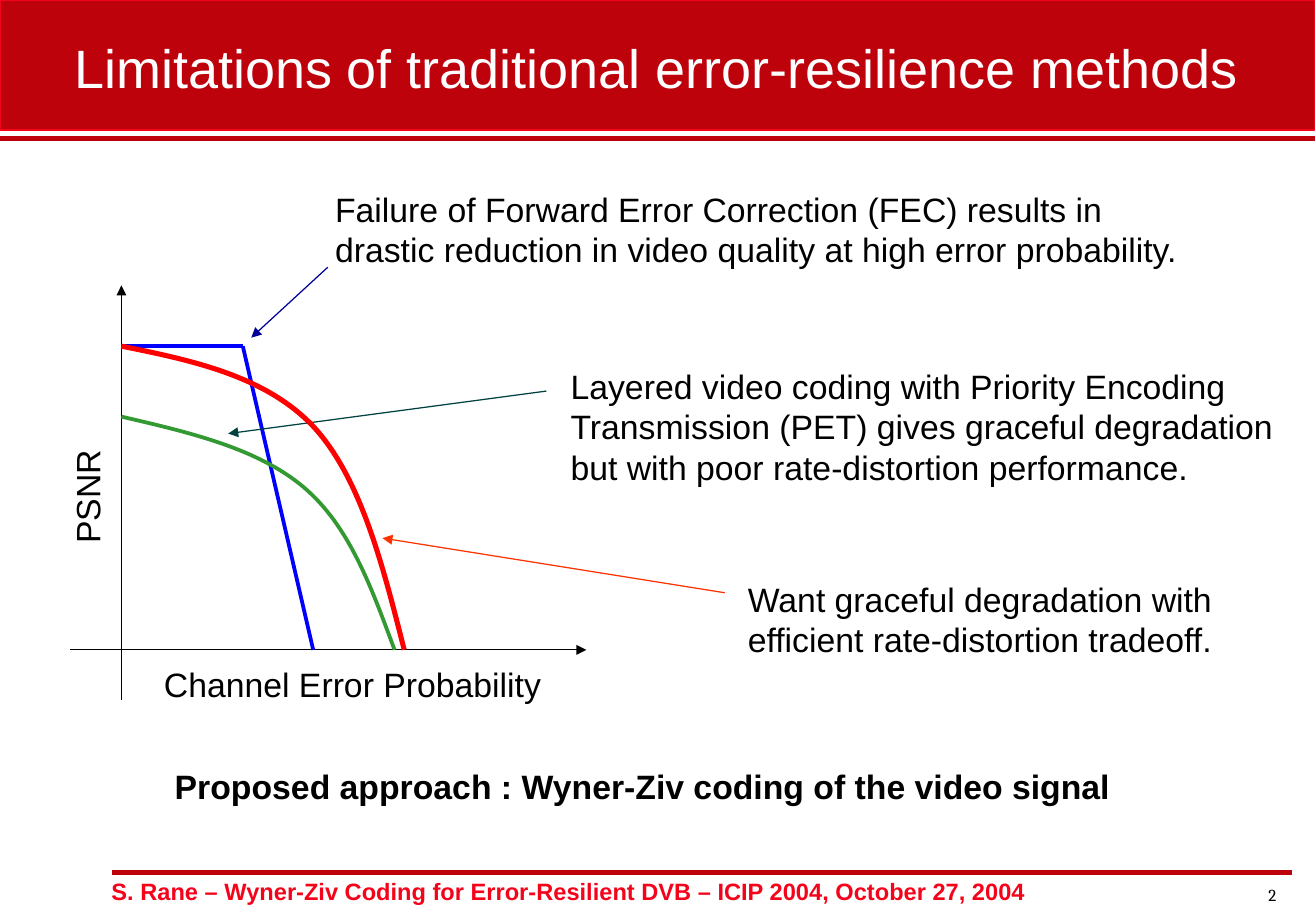
from dataclasses import dataclass

from lxml import etree
from pptx import Presentation
from pptx.dml.color import RGBColor
from pptx.enum.shapes import MSO_CONNECTOR, MSO_SHAPE
from pptx.enum.text import MSO_ANCHOR, PP_ALIGN
from pptx.oxml.ns import qn
from pptx.util import Inches, Pt

LEFT, CENTER, RIGHT = PP_ALIGN.LEFT, PP_ALIGN.CENTER, PP_ALIGN.RIGHT
MIDDLE = MSO_ANCHOR.MIDDLE
STRAIGHT = MSO_CONNECTOR.STRAIGHT
RECT = MSO_SHAPE.RECTANGLE


@dataclass(frozen=True)
class Theme:
    font: str = "Arial"
    number_font: str = "Cambria"
    title_size: float = 32
    body_size: float = 20
    footer_size: float = 14
    number_size: float = 10
    thin: float = 0.75
    medium: float = 2.25
    thick: float = 3
    white: str = "FFFFFF"
    black: str = "000000"
    banner: str = "BE020B"
    accent: str = "F4041B"
    fec: str = "0000FF"
    fec_arrow: str = "020296"
    pet: str = "339933"
    pet_arrow: str = "004240"
    goal: str = "FF0000"
    goal_arrow: str = "FF3300"


T = Theme()
WIDTH, HEIGHT = 10.84, 7.5
BANNER = (0, 0, 10.83, 1.07)
ORIGIN_X, ORIGIN_Y = 1, 5.35
INSET = 0.1

TITLE = "Limitations of traditional error-resilience methods"
FOOTER = "S. Rane – Wyner-Ziv Coding for Error-Resilient DVB – ICIP 2004, October 27, 2004"
PAGE = "2"
CONCLUSION = "Proposed approach : Wyner-Ziv coding of the video signal"
X_LABEL, Y_LABEL = "Channel Error Probability", "PSNR"

NOTES = [
    ((2.76, 1.5, 7.12, 0.77), [
        "Failure of Forward Error Correction (FEC) results in",
        "drastic reduction in video quality at high error probability."]),
    ((4.7, 2.96, 5.88, 1.1), [
        "Layered video coding with Priority Encoding",
        "Transmission (PET) gives graceful degradation",
        "but with poor rate-distortion performance."]),
    ((6.16, 4.71, 3.91, 0.77), [
        "Want graceful degradation with",
        "efficient rate-distortion tradeoff."]),
]
RULES = [((0.92, 7.18), (10.64, 7.18)), ((0, 1.14), (10.83, 1.14))]
AXES = [
    ((ORIGIN_X, 5.76), (ORIGIN_X, 2.35)),
    ((0.58, ORIGIN_Y), (4.83, ORIGIN_Y)),
]
FEC_LINES = [((1, 2.85), (2, 2.85)), ((2, 2.85), (2.58, ORIGIN_Y))]
FEC_ARROW = ((2.7, 2.2), (2.07, 2.78))
PET_ARROW = ((4.5, 3.22), (1.88, 3.57))
GOAL_ARROW = ((5.97, 4.88), (3.15, 4.43))
PET_CURVE = [(0, 1.92), (0.56, 1.79), (1.12, 1.66), (1.5, 1.34),
             (1.88, 1.02), (2.06, 0.51), (2.25, 0)]
GOAL_CURVE = [(0, 2.5), (0.6, 2.38), (1.19, 2.25), (1.58, 1.84),
              (1.97, 1.42), (2.15, 0.71), (2.33, 0)]


def rgb(value):
    return RGBColor.from_string(value)


def box(at):
    return [Inches(v) for v in at]


def write(sp, lines, size=T.body_size, color=T.black, font=T.font, bold=False,
          align=LEFT, wrap=True, inset=0):
    tf = sp.text_frame
    tf.word_wrap = wrap
    tf.vertical_anchor = MIDDLE
    tf.margin_left = tf.margin_right = Inches(inset)
    tf.margin_top = tf.margin_bottom = Inches(0.05)
    for i, line in enumerate(lines):
        p = tf.paragraphs[0] if i == 0 else tf.add_paragraph()
        p.alignment = align
        r = p.add_run()
        r.text = line
        r.font.name, r.font.size, r.font.bold = font, Pt(size), bold
        r.font.color.rgb = rgb(color)


def add_text(slide, at, lines, **fmt):
    sp = slide.shapes.add_textbox(*box(at))
    write(sp, lines, **fmt)
    return sp


def add_line(slide, ends, color, weight=T.thin, arrow=False):
    start, end = ends
    sp = slide.shapes.add_connector(STRAIGHT, *box(start + end))
    sp.line.color.rgb = rgb(color)
    sp.line.width = Pt(weight)
    if arrow:
        etree.SubElement(sp.line._get_or_add_ln(), qn("a:tailEnd"), type="triangle")
    etree.SubElement(sp.element.spPr, qn("a:effectLst"))


def add_curve(slide, controls, color, weight):
    points = [(Inches(ORIGIN_X + x), Inches(ORIGIN_Y - y)) for x, y in controls]
    builder = slide.shapes.build_freeform(*points[0])
    builder.add_line_segments(points[1:], close=False)
    sp = builder.convert_to_shape()
    segments = list(sp.element.iter(qn("a:lnTo")))
    outline = segments[0].getparent()
    for k in range(0, len(segments), 3):
        cubic = etree.SubElement(outline, qn("a:cubicBezTo"))
        for segment in segments[k:k + 3]:
            cubic.append(segment[0])
            outline.remove(segment)
    sp.shadow.inherit = False
    sp.fill.background()
    sp.line.color.rgb = rgb(color)
    sp.line.width = Pt(weight)


def add_frame(slide):
    banner = slide.shapes.add_shape(RECT, *box(BANNER))
    banner.shadow.inherit = False
    banner.fill.solid()
    banner.fill.fore_color.rgb = rgb(T.banner)
    banner.line.color.rgb = rgb(T.accent)
    banner.line.width = Pt(1)
    add_text(slide, (0.82, 7.17, 9.36, 0.33), [FOOTER], size=T.footer_size,
             color=T.accent, bold=True, inset=INSET)
    add_text(slide, (10.22, 7.22, 0.39, 0.29), [PAGE], size=T.number_size,
             font=T.number_font, align=RIGHT, inset=INSET)
    for ends in RULES:
        add_line(slide, ends, T.banner, T.thick)
    title = slide.shapes.title
    title.left, title.top, title.width, title.height = box((0.61, 0.23, 9.6, 0.64))
    write(title, [TITLE], size=T.title_size, color=T.white, align=CENTER, wrap=False)
    title.element.getparent().append(title.element)


def add_plot(slide):
    fec_note, pet_note, goal_note = NOTES
    for ends in AXES:
        add_line(slide, ends, T.black, arrow=True)
    for ends in FEC_LINES:
        add_line(slide, ends, T.fec, T.medium)
    label = {"align": CENTER, "wrap": False, "inset": INSET}
    add_text(slide, (1.25, 5.41, 3.31, 0.44), [X_LABEL], **label)
    y_label = add_text(slide, (0.23, 3.87, 0.97, 0.44), [Y_LABEL], **label)
    y_label.rotation = 270
    add_text(slide, *fec_note)
    add_curve(slide, PET_CURVE, T.pet, T.medium)
    add_text(slide, *pet_note)
    add_line(slide, PET_ARROW, T.pet_arrow, arrow=True)
    add_line(slide, FEC_ARROW, T.fec_arrow, arrow=True)
    add_curve(slide, GOAL_CURVE, T.goal, T.thick)
    add_text(slide, *goal_note)
    add_line(slide, GOAL_ARROW, T.goal_arrow, arrow=True)


def main():
    prs = Presentation()
    prs.slide_width, prs.slide_height = Inches(WIDTH), Inches(HEIGHT)
    slide = prs.slides.add_slide(prs.slide_layouts[5])
    add_frame(slide)
    add_plot(slide)
    add_text(slide, (1.4, 6.25, 7.79, 0.44), [CONCLUSION], bold=True, align=CENTER)
    prs.save("out.pptx")


if __name__ == "__main__":
    main()
